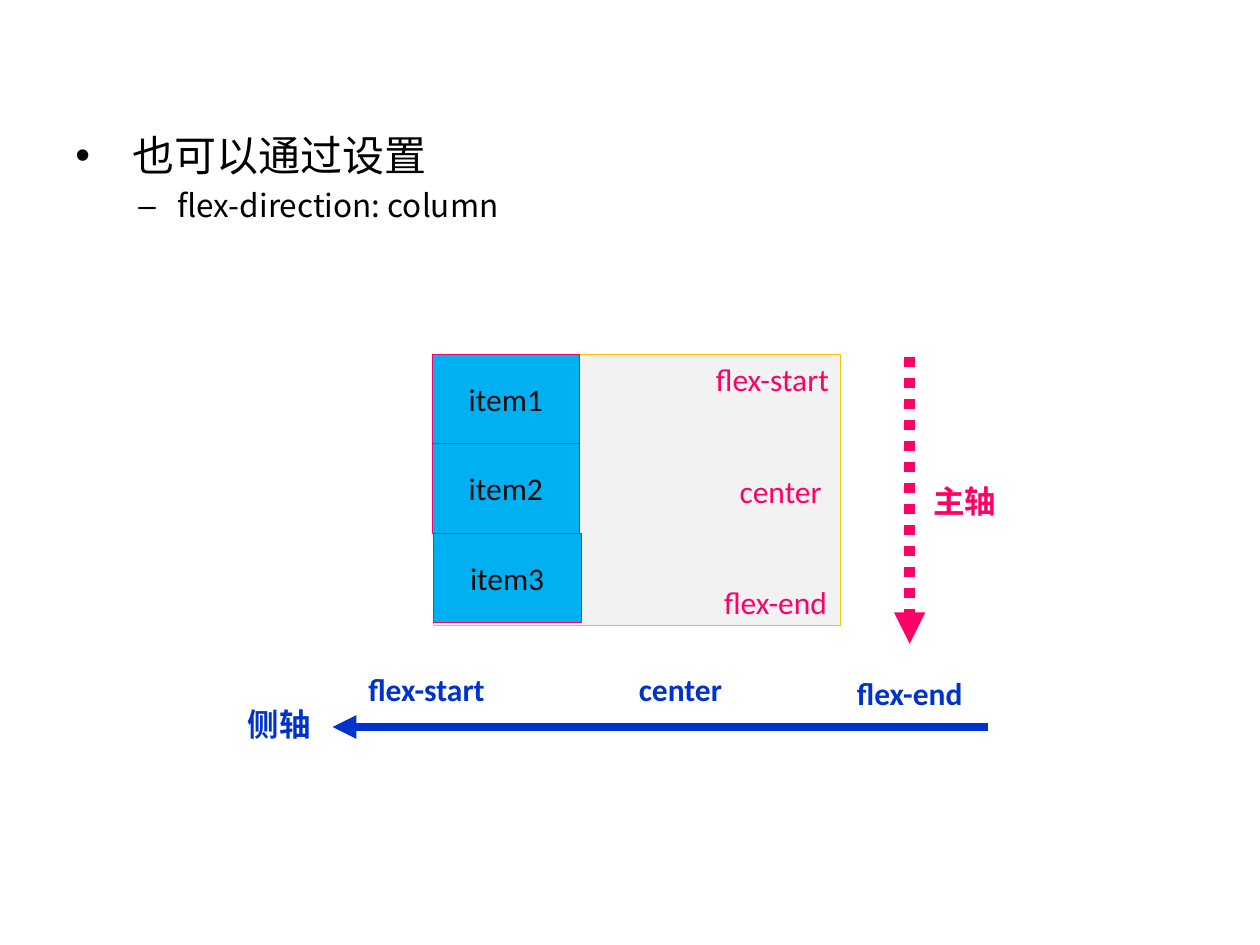
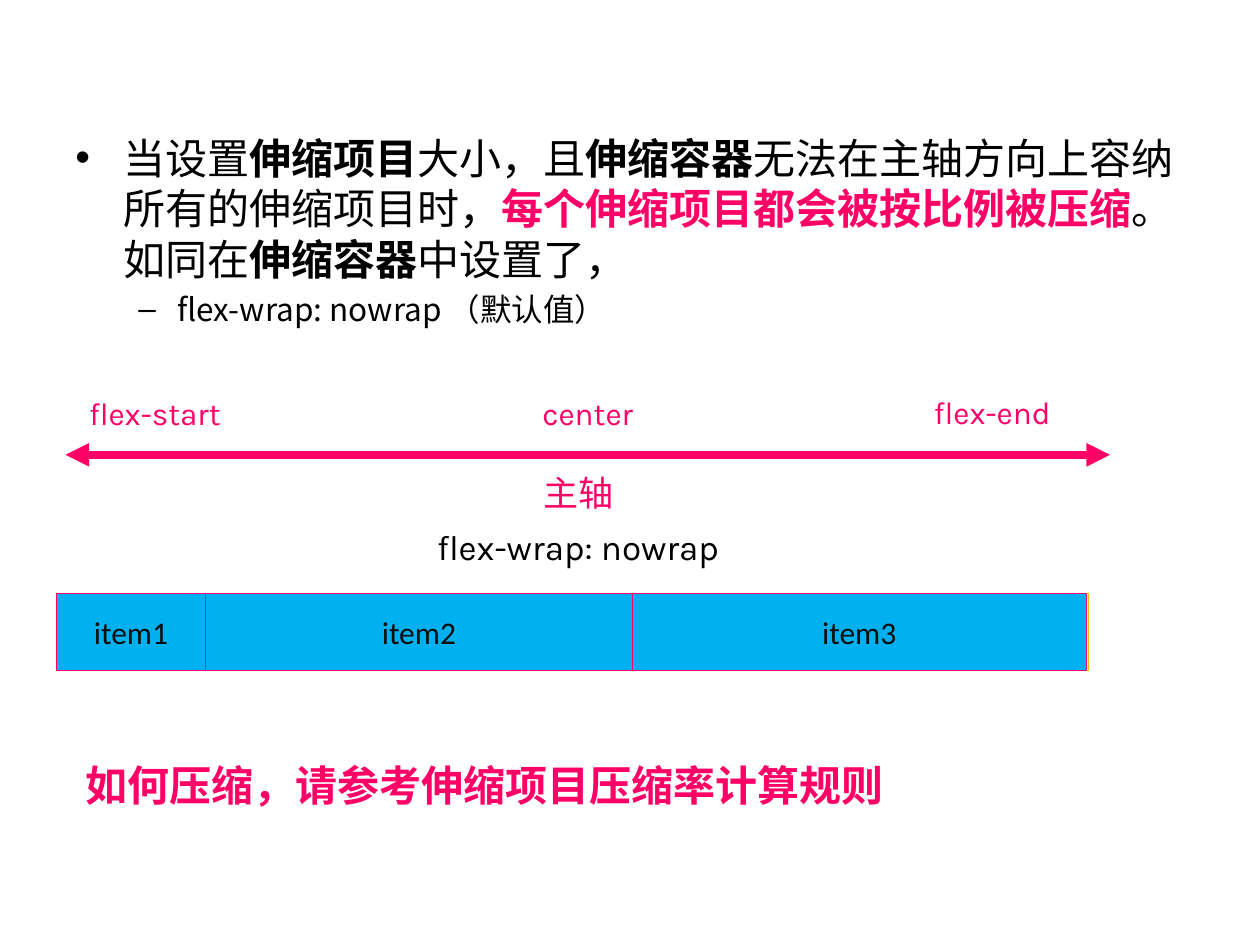
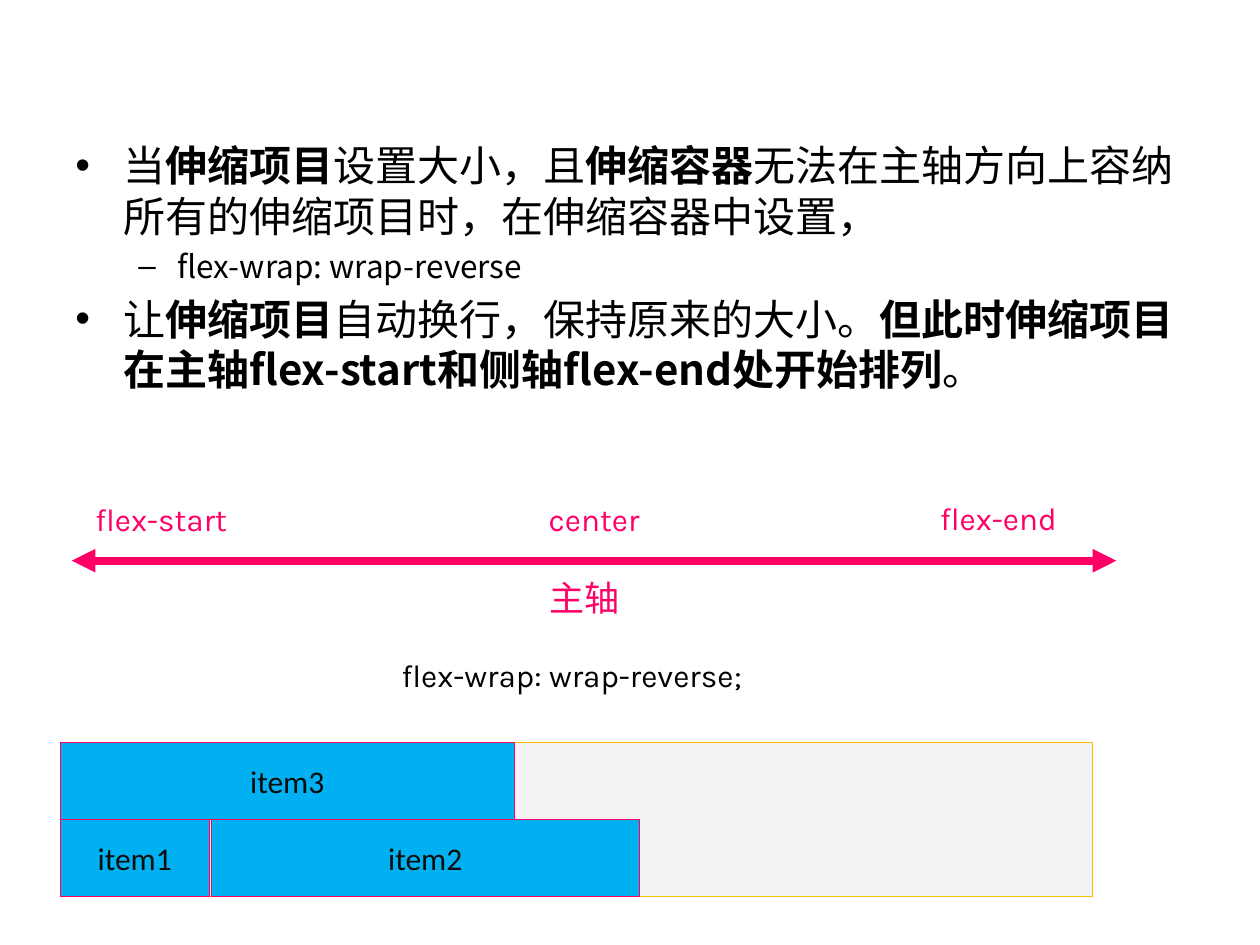
import pptx
import pptx.util
from pptx.dml.color import RGBColor
from pptx.enum.dml import MSO_LINE
from pptx.enum.shapes import MSO_CONNECTOR, MSO_SHAPE
from pptx.enum.text import MSO_ANCHOR, PP_ALIGN
from pptx.oxml.ns import qn
from lxml import etree

Inches, Pt = pptx.util.Inches, pptx.util.Pt

COLORS = {"main": "FF0066", "cross": "0033CC", "item": "00B0F0", "box": "F2F2F2",
          "box_edge": "FFC000", "item_text": "0D0D0D", "text": "000000"}
LATIN, KARLA, HAN, HAN_JP = "Calibri", "Karla", "Noto Sans CJK SC", "Noto Sans CJK JP"

# Bullet level: character, left margin, hanging indent, text size
LEVELS = [("•", 0.38, -0.38, 24), ("–", 0.81, -0.31, 18)]
BOLD, KEY = {"bold": True}, {"bold": True, "color": "main"}

# Body paragraphs: (level, runs); a run is (text, format)
COLUMN_BODY = [
    (0, [(" 也可以通过设置", {})]),
    (1, [("flex-direction: column", {})]),
]
NOWRAP_BODY = [
    (0, [("当设置", {}), ("伸缩项目", BOLD), ("大小，且", {}), ("伸缩容器", BOLD),
         ("无法在主轴方向上容纳所有的伸缩项目时，", {}),
         ("每个伸缩项目都会被按比例被压缩", KEY), ("。如同在", {}),
         ("伸缩容器", BOLD), ("中设置了，", {})]),
    (1, [("flex-wrap: nowrap （默认值）", {})]),
]
REVERSE_BODY = [
    (0, [("当", {}), ("伸缩项目", BOLD), ("设置大小，且", {}), ("伸缩容器", BOLD),
         ("无法在主轴方向上容纳所有的伸缩项目时，在伸缩容器中设置，", {})]),
    (1, [("flex-wrap: wrap-reverse", {})]),
    (0, [("让", {}), ("伸缩项目", BOLD), ("自动换行，保持原来的大小。", {}),
         ("但此时伸缩项目在主轴flex-start和侧轴flex-end处开始排列", BOLD), ("。", {})]),
]

# Labels: text, left, top, width
COLUMN_MAIN_LABELS = [("flex-start", 5.36, 2.81, 1.54), ("flex-end", 5.38, 4.58, 1.55),
                      ("center", 5.42, 3.7, 1.55)]
COLUMN_CROSS_LABELS = [("flex-start", 2.6, 5.27, 1.57), ("center", 4.61, 5.27, 1.58),
                       ("flex-end", 6.43, 5.3, 1.58)]
# Offsets from the corner of the horizontal axis
AXIS_LABELS = [("flex-start", 0, 0.01, 1.56), ("flex-end", 6.64, 0, 1.57),
               ("center", 3.43, 0.01, 1.57)]

# Items: name, left, top, width
ITEM_WIDTHS = {"item1": 1.18, "item2": 3.39, "item3": 3.6}
ROW_H, COLUMN_H, BOX_W = 0.61, 0.71, 8.19


def add_run(p, text, size, color="text", font=HAN, bold=False):
    r = p.add_run()
    r.text = text
    for name, value in {"size": Pt(size), "bold": bold, "name": font}.items():
        setattr(r.font, name, value)
    r.font.color.rgb = RGBColor.from_string(COLORS[color])
    etree.SubElement(r._r.get_or_add_rPr(), qn("a:ea")).set("typeface", font)


def add_textbox(s, left, top, width, height):
    tf = s.shapes.add_textbox(*map(Inches, (left, top, width, height))).text_frame
    tf.word_wrap = True
    return tf


def add_label(s, text, left, top, width, height=0.4, size=18, align=PP_ALIGN.CENTER,
              indent=0, **style):
    p = add_textbox(s, left, top, width, height).paragraphs[0]
    p.alignment = align
    if indent:
        p._p.get_or_add_pPr().set("marL", str(Inches(indent)))
    add_run(p, text, size, **style)


def add_body(s, paragraphs, left, top, width, height):
    tf = add_textbox(s, left, top, width, height)
    for i, (level, runs) in enumerate(paragraphs):
        p = tf.add_paragraph() if i else tf.paragraphs[0]
        char, margin, hanging, size = LEVELS[level]
        p.level = level
        pPr = p._p.get_or_add_pPr()
        pPr.set("marL", str(Inches(margin)))
        pPr.set("indent", str(Inches(hanging)))
        etree.SubElement(pPr, qn("a:buFont")).set("typeface", "Arial")
        etree.SubElement(pPr, qn("a:buChar")).set("char", char)
        p.line_spacing = Pt(size * 1.2)
        if i:
            p.space_before = Pt(size * 0.2)
        for text, style in runs:
            add_run(p, text, size, **style)


def add_block(s, left, top, width, height, fill="box", edge="box_edge", text=""):
    sp = s.shapes.add_shape(MSO_SHAPE.ROUNDED_RECTANGLE,
                            *map(Inches, (left, top, width, height)))
    sp.adjustments[0] = 0
    sp.shadow.inherit = False
    sp.fill.solid()
    sp.fill.fore_color.rgb = RGBColor.from_string(COLORS[fill])
    sp.line.color.rgb = RGBColor.from_string(COLORS[edge])
    sp.line.width = Pt(0.25)
    if text:
        tf = sp.text_frame
        tf.vertical_anchor = MSO_ANCHOR.MIDDLE
        tf.paragraphs[0].alignment = PP_ALIGN.CENTER
        add_run(tf.paragraphs[0], text, 18, "item_text", LATIN)


def add_item(s, name, left, top, width, height):
    add_block(s, left, top, width, height, "item", "main", name)


def add_arrow(s, x1, y1, x2, y2, color, width, ends=("tailEnd",), dash=None):
    c = s.shapes.add_connector(MSO_CONNECTOR.STRAIGHT, *map(Inches, (x1, y1, x2, y2)))
    c.line.color.rgb = RGBColor.from_string(COLORS[color])
    c.line.width = Pt(width)
    if dash:
        c.line.dash_style = dash
    for end in ends:
        etree.SubElement(c.line._get_or_add_ln(), qn("a:" + end)).set("type", "triangle")
    etree.SubElement(c._element.spPr, qn("a:effectLst"))


def add_main_axis(s, left, top):
    """Horizontal double arrow with its labels."""
    for text, dx, dy, width in AXIS_LABELS:
        add_label(s, text, left + dx, top + dy, width, color="main", font=KARLA)
    y = top + 0.54
    add_arrow(s, left + 0.07, y, left + 8.36, y, "main", 4.5, ("headEnd", "tailEnd"))
    add_label(s, "主轴", left + 3.39, top + 0.62, 1.5, 0.44, 20, color="main", font=HAN_JP)


def column_slide(s):
    add_block(s, 3.44, 2.81, 3.23, 2.15)
    for i, left in enumerate((3.43, 3.43, 3.44)):
        add_item(s, f"item{i + 1}", left, 2.81 + i * COLUMN_H, 1.17, COLUMN_H)
    add_arrow(s, 7.22, 2.83, 7.22, 5.11, "main", 6, dash=MSO_LINE.ROUND_DOT)
    for label in COLUMN_MAIN_LABELS:
        add_label(s, *label, height=0.2, color="main", font=LATIN)
    add_label(s, "主轴", 7.31, 3.78, 0.89, 0.2, align=PP_ALIGN.LEFT, **KEY)
    add_body(s, COLUMN_BODY, 0.5, 0.98, 4.97, 6.22)
    add_arrow(s, 7.84, 5.77, 2.64, 5.77, "cross", 4.5)
    add_label(s, "侧轴", 1.78, 5.55, 0.87, color="cross", bold=True)
    for label in COLUMN_CROSS_LABELS:
        add_label(s, *label, color="cross", font=LATIN, bold=True)


def nowrap_slide(s):
    left, top = 0.45, 4.71
    add_block(s, left, top, BOX_W, ROW_H)
    for name, width in ITEM_WIDTHS.items():
        add_item(s, name, left, top, width, ROW_H)
        left += width
    add_body(s, NOWRAP_BODY, 0.5, 1, 9, 2.75)
    add_label(s, "flex-wrap: nowrap", 2.87, 4.12, 3.35, 0.44, 20, PP_ALIGN.LEFT, 0.5,
              font=KARLA)
    add_label(s, "如何压缩，请参考伸缩项目压缩率计算规则", 0.58, 5.98, 8.19, 0.5, 24,
              PP_ALIGN.LEFT, **KEY)
    add_main_axis(s, 0.45, 3.07)


def reverse_slide(s):
    left, top = 0.48, 5.89
    add_block(s, left, top, BOX_W, 2 * ROW_H)
    for name, x, row in (("item1", left, 1), ("item2", 1.68, 1), ("item3", left, 0)):
        add_item(s, name, x, top + row * ROW_H, ITEM_WIDTHS[name], ROW_H)
    add_label(s, "flex-wrap: wrap-reverse;", 2.59, 5.16, 3.8, align=PP_ALIGN.LEFT,
              indent=0.5, font=KARLA)
    add_body(s, REVERSE_BODY, 0.5, 1.06, 9, 2.75)
    add_main_axis(s, 0.5, 3.91)


def main():
    prs = pptx.Presentation()
    prs.slide_width, prs.slide_height = Inches(10), Inches(7.5)
    for build in (column_slide, nowrap_slide, reverse_slide):
        build(prs.slides.add_slide(prs.slide_layouts[6]))
    prs.save("out.pptx")


if __name__ == "__main__":
    main()
